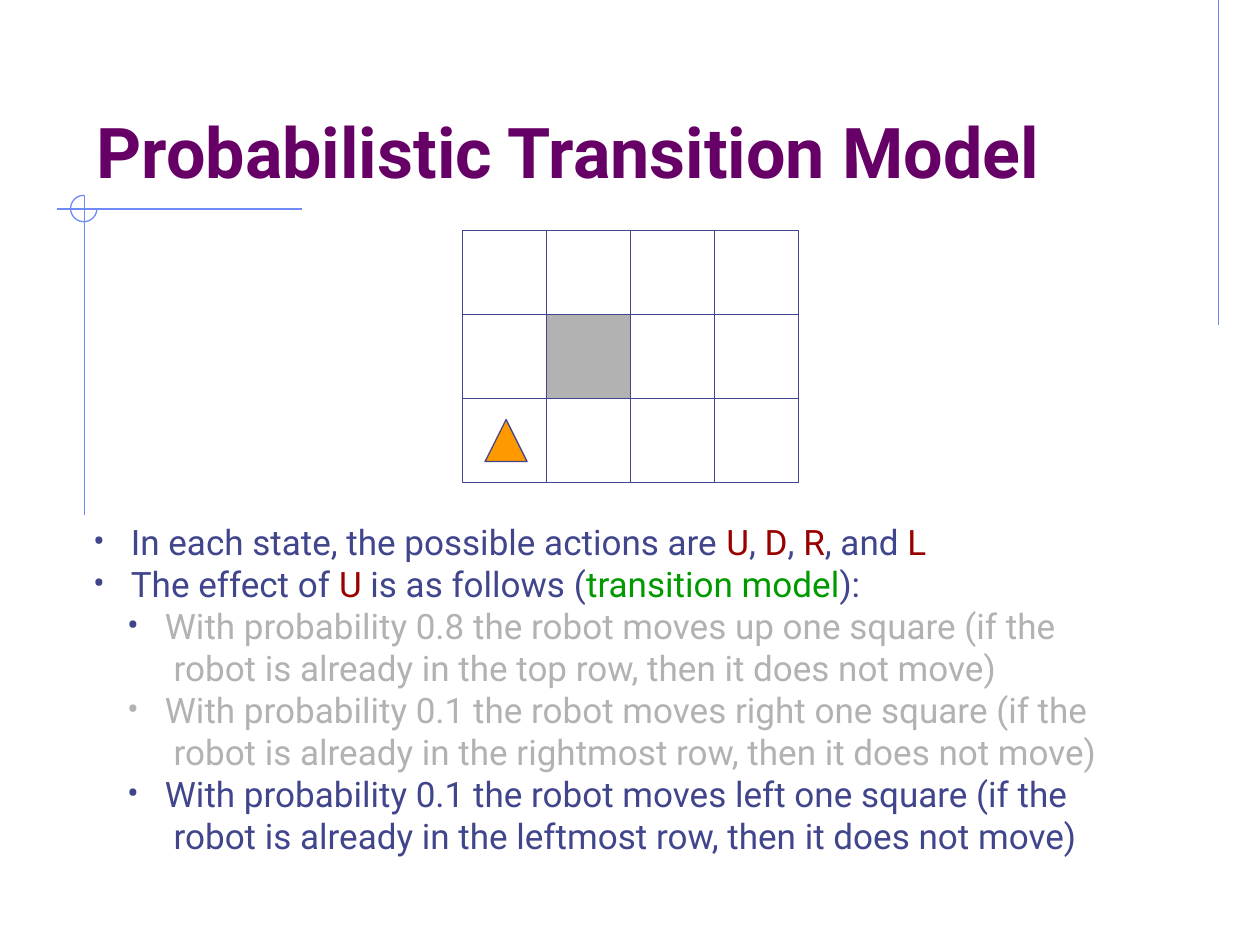
from lxml import etree
from pptx import Presentation
from pptx import util as u
from pptx.dml.color import RGBColor
from pptx.enum import shapes, text
from pptx.oxml import ns

HUES = {"rule": "6F89F7", "title": "660066", "ink": "40458C", "act": "990000",
        "term": "009900", "dim": "B2B2B2", "robot": "FF9900"}
FONT = "Roboto"
KIND = shapes.MSO_SHAPE


def hue(name):
    return RGBColor.from_string(HUES[name])


def add_line(slide, x1, y1, x2, y2, color):
    line = slide.shapes.add_connector(
        shapes.MSO_CONNECTOR.STRAIGHT, *map(u.Inches, (x1, y1, x2, y2)))
    line.line.color.rgb = hue(color)
    line.line.width = u.Pt(0.75)
    etree.SubElement(line._element.spPr, ns.qn("a:effectLst"))


def add_form(slide, kind, x, y, w, h, color, fill=None):
    form = slide.shapes.add_shape(kind, *map(u.Inches, (x, y, w, h)))
    form.shadow.inherit = False
    form.line.color.rgb = hue(color)
    form.line.width = u.Pt(0.75)
    if fill:
        form.fill.solid()
        form.fill.fore_color.rgb = hue(fill)
    else:
        form.fill.background()
    return form


def add_box(slide, x, y, w, h):
    box = slide.shapes.add_textbox(*map(u.Inches, (x, y, w, h)))
    box.text_frame.word_wrap = True
    return box.text_frame


def add_run(para, words, size, color, bold=False):
    run = para.add_run()
    run.text = words
    run.font.name = FONT
    run.font.size = u.Pt(size)
    run.font.bold = bold
    run.font.color.rgb = hue(color)


def set_bullet(para, color, left, hang):
    props = para._p.get_or_add_pPr()
    props.set("marL", str(u.Inches(left)))
    props.set("indent", str(-u.Inches(hang)))
    tint = etree.SubElement(props, ns.qn("a:buClr"))
    etree.SubElement(tint, ns.qn("a:srgbClr"), val=HUES[color])
    etree.SubElement(props, ns.qn("a:buFont"), typeface=FONT)
    etree.SubElement(props, ns.qn("a:buChar"), char="•")


def draw_frame(slide, x, y, w):
    # Rules at the right edge and beside the title, with an arc at the crossing
    add_line(slide, x + w, 0, x + w, 2.58, "rule")
    add_line(slide, x - 0.22, y, x + 1.73, y, "rule")
    add_line(slide, x, y - 0.11, x, y + 2.43, "rule")
    arc = add_form(slide, KIND.ARC, x - 0.11, y - 0.11, 0.21, 0.21, "rule")
    arc.adjustments[0] = 0
    arc.adjustments[1] = 162  # 270 degrees


def draw_title(slide, x, y, w, h):
    frame = add_box(slide, x, y, w, h)
    frame.vertical_anchor = text.MSO_ANCHOR.BOTTOM
    add_run(frame.paragraphs[0], "Probabilistic Transition Model", 40, "title", True)


def draw_grid(slide, x, y, w, h, cols=4, rows=3):
    dx, dy = w / cols, h / rows
    add_form(slide, KIND.RECTANGLE, x, y, w, h, "ink")
    for col in range(1, cols):
        add_line(slide, x + col * dx, y, x + col * dx, y + h, "ink")
    for row in range(1, rows):
        add_line(slide, x, y + row * dy, x + w, y + row * dy, "ink")
    # Blocked square, then the robot in the bottom left square
    add_form(slide, KIND.RECTANGLE, x + dx, y + dy, dx, dy, "ink", "dim")
    add_form(slide, KIND.ISOSCELES_TRIANGLE, x + 0.18, y + 2.25 * dy,
             dx / 2, dy / 2, "ink", "robot")


def draw_list(slide, x, y, w, h):
    moves = [("0.8", "up", "top", "ink", "dim"),
             ("0.1", "right", "rightmost", "dim", "dim"),
             ("0.1", "left", "leftmost", "ink", "ink")]
    # Each item: level, bullet colour, runs
    items = [
        (0, "ink", [("In each state, the possible actions are ", "ink"),
                    ("U", "act"), (", ", "ink"), ("D", "act"), (", ", "ink"),
                    ("R", "act"), (", and ", "ink"), ("L", "act")]),
        (0, "ink", [("The effect of ", "ink"), ("U", "act"),
                    (" is as follows (", "ink"), ("transition model", "term"),
                    ("):", "ink")]),
    ]
    for prob, way, edge, dot, color in moves:
        first = f"With probability {prob} the robot moves {way} one square (if the"
        rest = f" robot is already in the {edge} row, then it does not move)"
        items.append((1, dot, [(first, color), (rest, color)]))

    frame = add_box(slide, x, y, w, h)
    for num, (level, dot, runs) in enumerate(items):
        para = frame.add_paragraph() if num else frame.paragraphs[0]
        para.level = level
        para.line_spacing = u.Pt(24)
        set_bullet(para, dot, 0.57 if level else 0.3, 0.3)
        for pos, (words, color) in enumerate(runs):
            if level and pos:
                para.add_line_break()
            add_run(para, words, 20, color)


def main():
    deck = Presentation()
    deck.slide_width, deck.slide_height = u.Inches(10), u.Inches(7.5)
    slide = deck.slides.add_slide(deck.slide_layouts[6])
    draw_frame(slide, 0.67, 1.66, 9)
    draw_title(slide, 0.67, 0.33, 8.83, 1.25)
    draw_grid(slide, 3.67, 1.83, 2.67, 2)
    draw_list(slide, 0.64, 4.08, 8.81, 2.77)
    deck.save("out.pptx")


if __name__ == "__main__":
    main()
